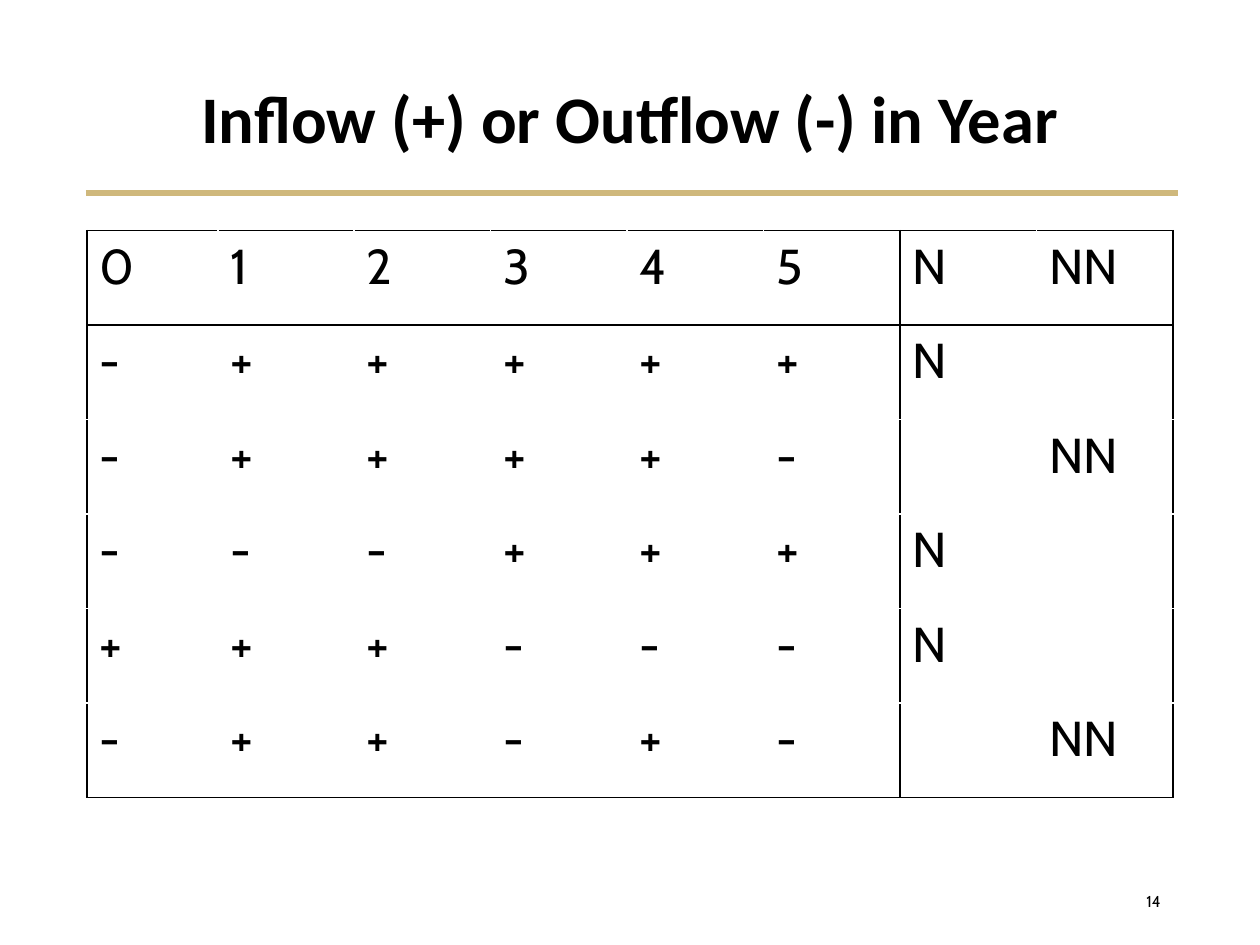
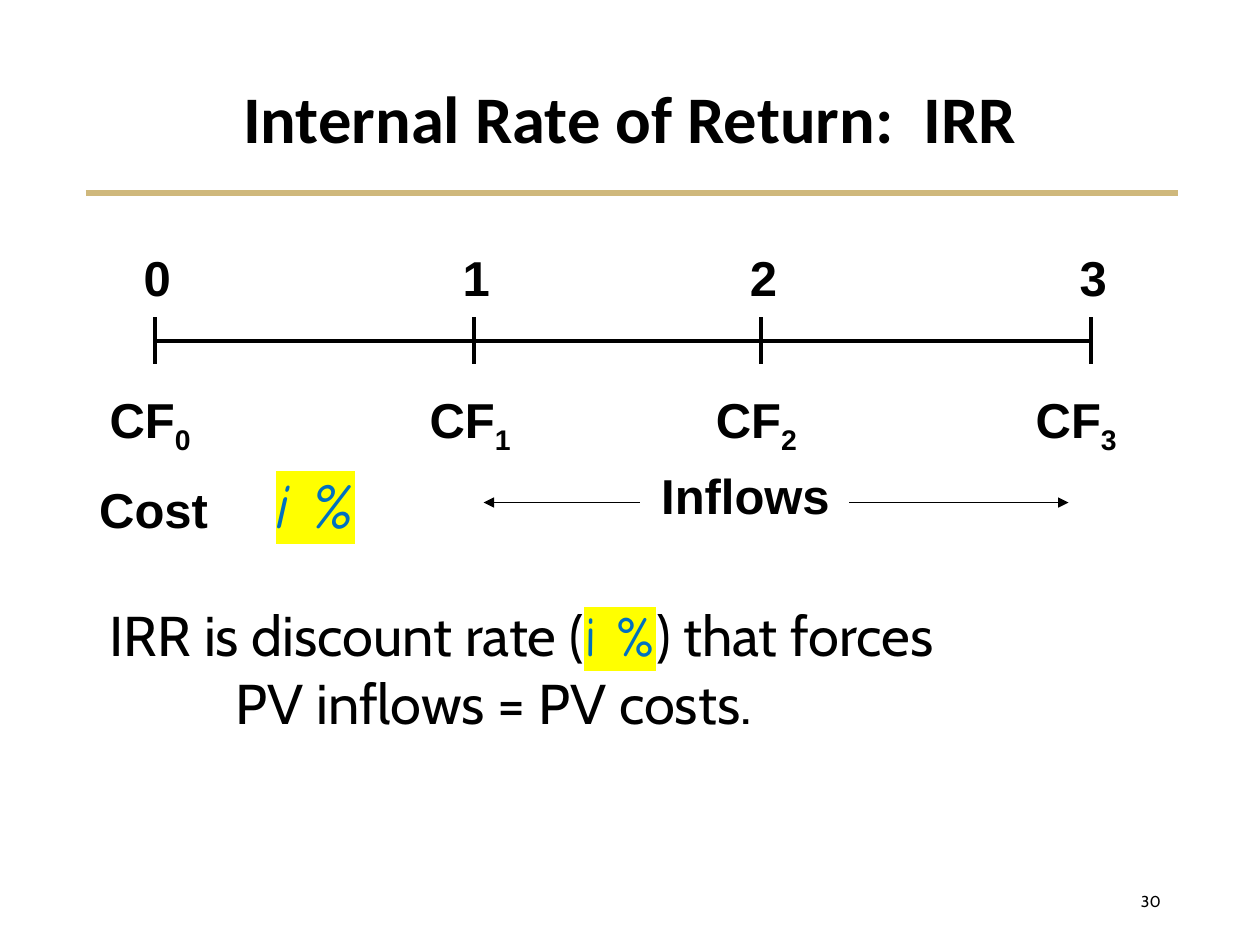
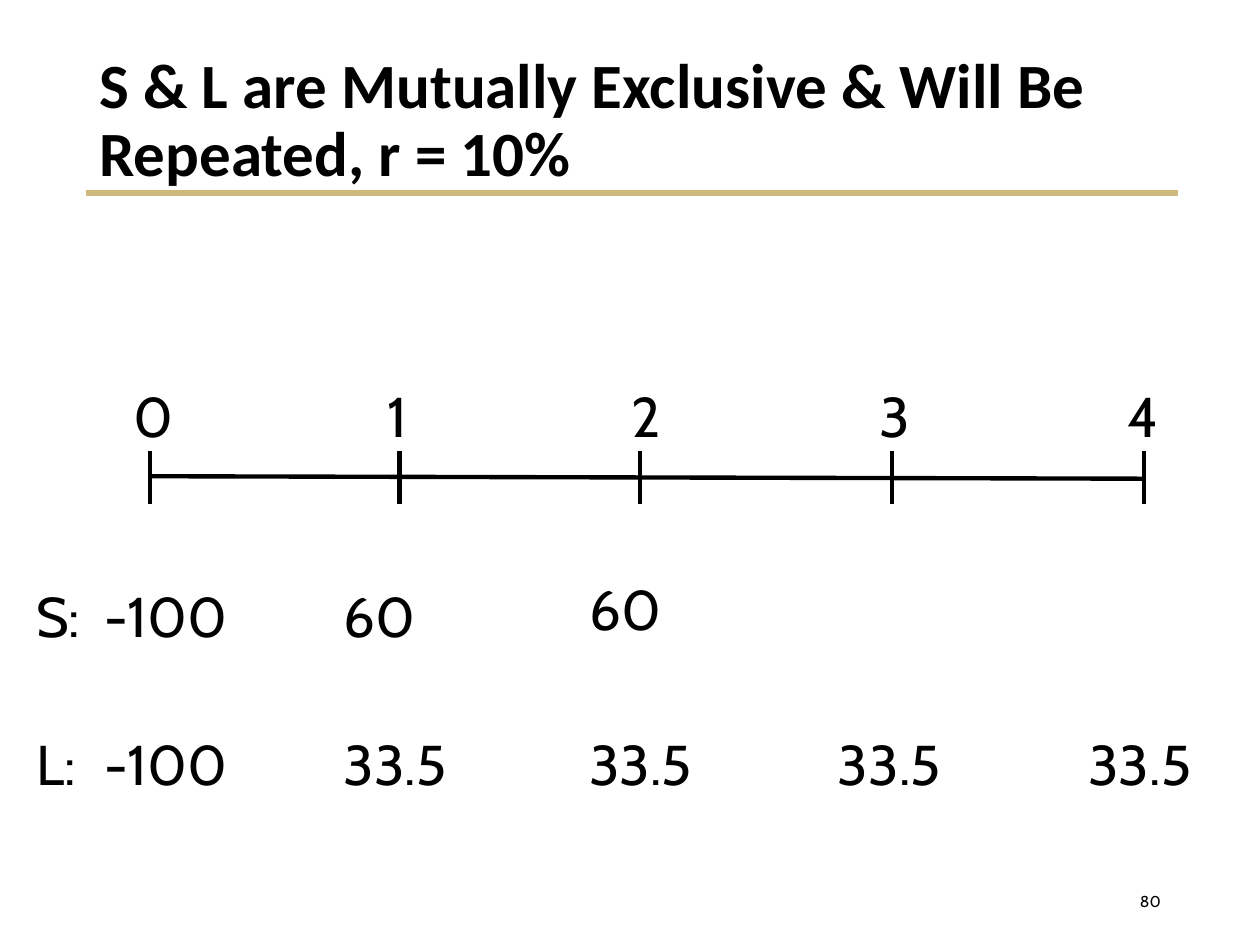
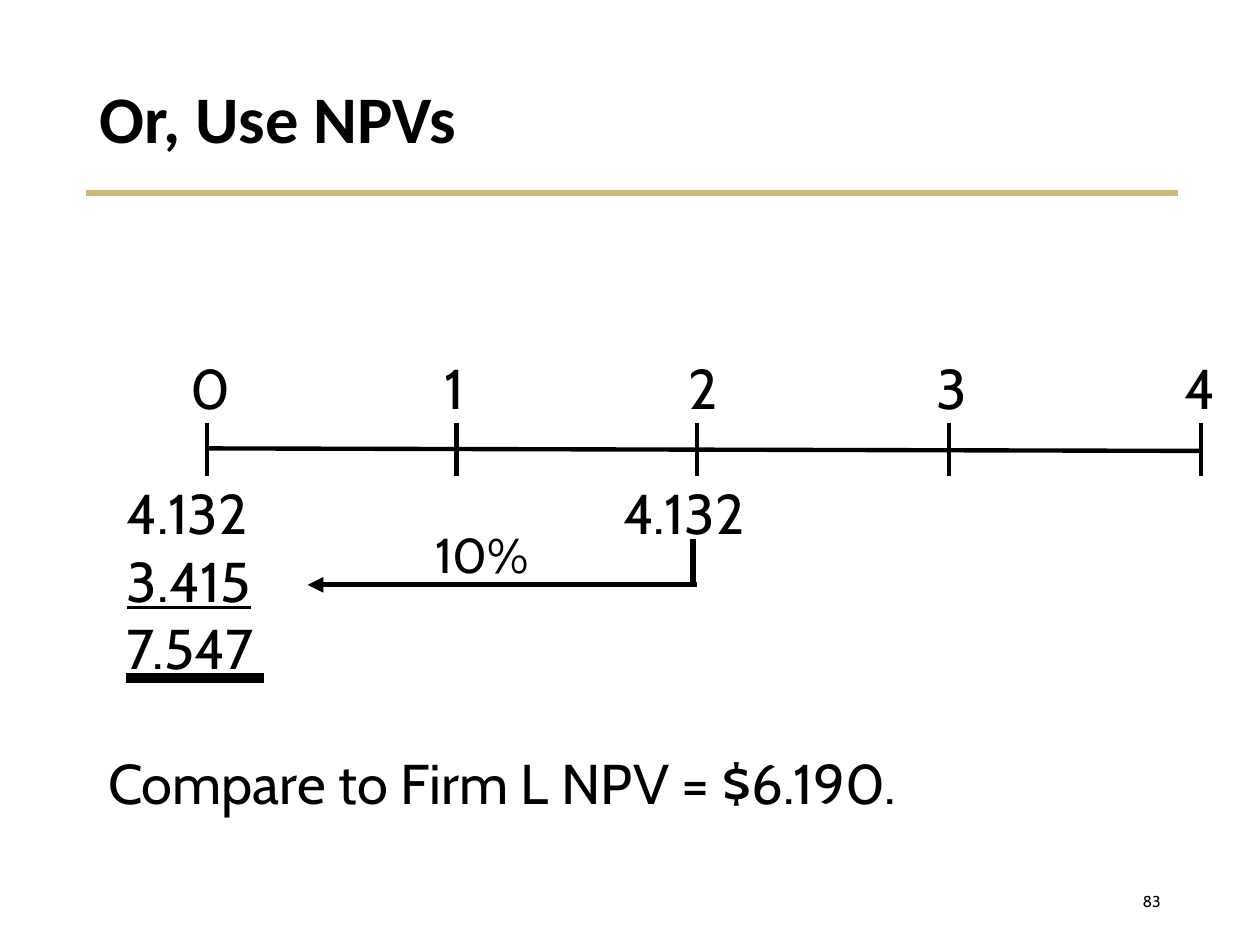
from lxml.etree import SubElement
from pptx import Presentation
from pptx.dml.color import RGBColor
from pptx.enum.shapes import MSO_CONNECTOR
from pptx.enum.text import MSO_ANCHOR, MSO_AUTO_SIZE, PP_ALIGN
from pptx.oxml.ns import qn
from pptx.util import Cm, Pt

COLORS = {"ink": "000000", "gold": "CFB87C", "blue": "0070C0", "yellow": "FFFF00"}
BODY_FONT, TITLE_FONT, LABEL_FONT, RATE_FONT = "Cabin", "Calibri", "Arial", "Comic Neue"
TITLE_BOX = (1.75, 1.02, 21.9, 2.87)
NUMBER_BOX = (17.93, 17.65, 5.72, 1.02)
LABEL_STYLE = {"size": 28, "font": LABEL_FONT, "bold": True}
RATE_STYLE = {"font": RATE_FONT, "color": "blue", "highlight": "yellow"}
YEAR_TICKS = (0, 5.03, 9.88, 14.96, 20.04)
YEAR_LABELS = [5.01 * year - 0.58 for year in range(5)]
FLOW_ROWS = (
    ("0", "1", "2", "3", "4", "5", "N", "NN"),
    ("-", "+", "+", "+", "+", "+", "N", ""),
    ("-", "+", "+", "+", "+", "-", "", "NN"),
    ("-", "-", "-", "+", "+", "+", "N", ""),
    ("+", "+", "+", "-", "-", "-", "N", ""),
    ("-", "+", "+", "-", "+", "-", "", "NN"),
)


def format_run(run, size=32, font=BODY_FONT, color="ink", bold=False, italic=False,
               highlight=None, baseline=None):
    """Apply a character style to a run."""
    run.font.size = Pt(size)
    run.font.name = font
    run.font.bold = bold
    run.font.italic = italic
    run.font.color.rgb = RGBColor.from_string(COLORS[color])
    properties = run._r.get_or_add_rPr()
    if highlight:
        marker = SubElement(properties, qn("a:highlight"))
        SubElement(marker, qn("a:srgbClr"), val=COLORS[highlight])
        properties.find(qn("a:latin")).addprevious(marker)
    if baseline:
        properties.set("baseline", str(baseline))


def add_runs(paragraph, *pieces):
    """Append (text, style) pieces to a paragraph."""
    for text, style in pieces:
        run = paragraph.add_run()
        run.text = text
        format_run(run, **style)


def add_text(slide, box, text="", align=PP_ALIGN.LEFT, anchor=MSO_ANCHOR.TOP, **style):
    """Add a text box, one paragraph per line, and return its frame."""
    frame = slide.shapes.add_textbox(*map(Cm, box)).text_frame
    frame.word_wrap = True
    frame.vertical_anchor = anchor
    frame.text = text
    for paragraph in frame.paragraphs:
        paragraph.alignment = align
        for run in paragraph.runs:
            format_run(run, **style)
    return frame


def add_tab(paragraph, position):
    """Give a paragraph a left tab stop."""
    tabs = SubElement(paragraph._p.get_or_add_pPr(), qn("a:tabLst"))
    SubElement(tabs, qn("a:tab"), pos=str(Cm(position)), algn="l")


def add_line(slide, start, end, width, color="ink", arrow=False):
    """Draw a straight line, with an arrowhead at its end if asked."""
    line = slide.shapes.add_connector(MSO_CONNECTOR.STRAIGHT, *map(Cm, start + end))
    line.line.width = Pt(width)
    line.line.color.rgb = RGBColor.from_string(COLORS[color])
    properties = line._element.spPr
    if arrow:
        SubElement(properties.find(qn("a:ln")), qn("a:tailEnd"), type="triangle")
    SubElement(properties, qn("a:effectLst"))


def add_slide(presentation, title, number, align=PP_ALIGN.LEFT, size=38):
    """Add a slide with its title, gold rule and number."""
    slide = presentation.slides.add_slide(presentation.slide_layouts[5])
    shape = slide.shapes.title
    shape.left, shape.top, shape.width, shape.height = map(Cm, TITLE_BOX)
    frame = shape.text_frame
    frame.text = title
    frame.word_wrap = True
    frame.auto_size = MSO_AUTO_SIZE.NONE
    frame.vertical_anchor = MSO_ANCHOR.MIDDLE
    paragraph = frame.paragraphs[0]
    paragraph.alignment = align
    paragraph.line_spacing = 0.9
    format_run(paragraph.runs[0], size=size, font=TITLE_FONT, bold=True)
    add_line(slide, (1.73, 3.89), (23.75, 3.89), 3, "gold")
    add_text(slide, NUMBER_BOX, str(number), PP_ALIGN.RIGHT, MSO_ANCHOR.MIDDLE, size=9)
    return slide


def add_timeline(slide, left, top, ticks=YEAR_TICKS, labels=YEAR_LABELS,
                 height=1.07, slope=0.05, width=2.5, **style):
    """Draw an axis with ticks and numbered labels from its first tick."""
    axis = top + height / 2 - slope / 2
    add_line(slide, (left, axis), (left + ticks[-1], axis + slope), width)
    for year, (tick, label) in enumerate(zip(ticks, labels)):
        add_line(slide, (left + tick, top), (left + tick, top + height), width)
        add_text(slide, (left + label, top - 1.53, 1.12, 1.6), str(year),
                 PP_ALIGN.CENTER, **style)


def set_borders(cell, sides):
    """Draw thin lines on the named sides of a cell."""
    properties = cell._tc.get_or_add_tcPr()
    for side in sides:
        border = SubElement(properties, qn(f"a:ln{side}"), w=str(Pt(1)))
        SubElement(SubElement(border, qn("a:solidFill")), qn("a:srgbClr"), val=COLORS["ink"])


def add_flow_table(slide, left, top, width, height):
    """Add the table of cash flow signs."""
    row_count, column_count = len(FLOW_ROWS), len(FLOW_ROWS[0])
    table = slide.shapes.add_table(row_count, column_count,
                                   *map(Cm, (left, top, width, height))).table
    table.first_row = table.horz_banding = False
    first_width = 2.64
    for index, column in enumerate(table.columns):
        column.width = Cm((width - first_width) / (column_count - 1) if index else first_width)
    for row, texts in enumerate(FLOW_ROWS):
        for column, text in enumerate(texts):
            cell = table.cell(row, column)
            edges = {"L": column in (0, 6), "R": column in (5, 7),
                     "T": row in (0, 1), "B": row in (0, row_count - 1)}
            set_borders(cell, [side for side, drawn in edges.items() if drawn])
            cell.fill.background()
            cell.text = text
            paragraph = cell.text_frame.paragraphs[0]
            paragraph.font.size = Pt(28)
            for run in paragraph.runs:
                format_run(run, size=28)


def add_flow_labels(slide, left, top):
    """Name the cash flow under each tick."""
    for year, offset in enumerate((0, 6.45, 12.22, 18.67)):
        frame = add_text(slide, (left + offset, top, 2.31, 1.75))
        add_runs(frame.paragraphs[0], ("CF", LABEL_STYLE),
                 (str(year), {**LABEL_STYLE, "baseline": -25000}))


def add_cost_row(slide, left, top):
    """Place the cost, the rate and the inflows between two arrows."""
    paragraph = add_text(slide, (left, top, 7.34, 1.78)).paragraphs[0]
    add_tab(paragraph, 3.56)
    add_runs(paragraph, ("Cost\t", LABEL_STYLE),
             ("i %", {**RATE_STYLE, "size": 36, "italic": True}))
    add_text(slide, (left + 11.33, top, 4.09, 1.75), "Inflows", **LABEL_STYLE)
    for start, end in ((15.37, 19.79), (11.15, 8)):
        add_line(slide, (left + start, top + 0.88), (left + end, top + 0.88), 1, arrow=True)


def add_definition(slide, box):
    """State what the internal rate of return is."""
    frame = add_text(slide, box)
    add_runs(frame.paragraphs[0], ("IRR is discount rate (", {}), ("i %", RATE_STYLE),
             (") that forces", {}))
    second = frame.add_paragraph()
    add_tab(second, 2.54)
    add_runs(second, ("\tPV inflows = PV costs.", {}))


def add_cash_flows(slide, left, top, height):
    """Stand the yearly flows of both projects on a common last line."""
    columns = ((0, 4.55, "S:\t-100\nL:\t-100", 46), (6.2, 2.7, "60\n33.5", 46),
               (11.15, 2.7, "60\n33.5", 50), (16.16, 2.7, "33.5", 0), (21.21, 2.7, "33.5", 0))
    for offset, width, text, gap in columns:
        frame = add_text(slide, (left + offset, top, width, height), text,
                         anchor=MSO_ANCHOR.BOTTOM)
        for paragraph in frame.paragraphs[1:]:
            paragraph.space_before = Pt(gap)
        if "\t" in text:
            for paragraph in frame.paragraphs:
                add_tab(paragraph, 1.38)


def add_value_sum(slide, left, top):
    """Add up the present values over a heavy rule."""
    frame = add_text(slide, (left, top, 3.35, 4.34), "4.132\n3.415\n7.547")
    frame.paragraphs[1].runs[0].font.underline = True
    add_line(slide, (left + 0.23, top + 4.14), (left + 3.02, top + 4.14), 6)


def add_discounting(slide, left, top):
    """Lead the later value back to the start with an arrow."""
    add_text(slide, (left + 6.12, top, 3.3, 1.63), "4.132")
    add_text(slide, (left + 2.33, top + 0.91, 2.57, 1.45), "10%", size=28)
    add_line(slide, (left + 7.85, top + 2.26), (left, top + 2.26), 3, arrow=True)
    add_line(slide, (left + 7.77, top + 2.26), (left + 7.77, top + 1.34), 3)


def build_flow_slide(presentation):
    """Build the slide of inflow and outflow signs."""
    slide = add_slide(presentation, "Inflow (+) or Outflow (-) in Year", 14, PP_ALIGN.CENTER)
    add_flow_table(slide, 1.75, 4.65, 21.9, 11.43)


def build_return_slide(presentation):
    """Build the slide on the internal rate of return."""
    slide = add_slide(presentation, "Internal Rate of Return:  IRR", 30, PP_ALIGN.CENTER)
    ticks = (0, 6.43, 12.22, 18.87)
    add_timeline(slide, 3.12, 6.4, ticks, [tick - 0.51 for tick in ticks],
                 height=0.94, slope=0, width=2, **LABEL_STYLE)
    add_flow_labels(slide, 1.96, 7.72)
    add_cost_row(slide, 1.75, 9.25)
    add_definition(slide, (1.96, 11.99, 21.89, 3))


def build_projects_slide(presentation):
    """Build the slide that compares two repeated projects."""
    slide = add_slide(presentation, "S & L are Mutually Exclusive & Will Be Repeated, r = 10%",
                      80, size=36)
    add_timeline(slide, 3.02, 9.09)
    add_cash_flows(slide, 0.48, 10.11, 6.07)


def build_value_slide(presentation):
    """Build the slide that adds up present values."""
    slide = add_slide(presentation, "Or, Use NPVs", 83)
    add_timeline(slide, 4.17, 8.53)
    add_value_sum(slide, 2.31, 9.53)
    add_discounting(slide, 6.2, 9.53)
    add_text(slide, (1.93, 14.96, 21.03, 1.63), "Compare to Firm L NPV = $6.190.")


def main():
    """Build and save the presentation."""
    presentation = Presentation()
    presentation.slide_width, presentation.slide_height = Cm(25.4), Cm(19.05)
    for build in (build_flow_slide, build_return_slide, build_projects_slide, build_value_slide):
        build(presentation)
    presentation.save("out.pptx")


if __name__ == "__main__":
    main()
